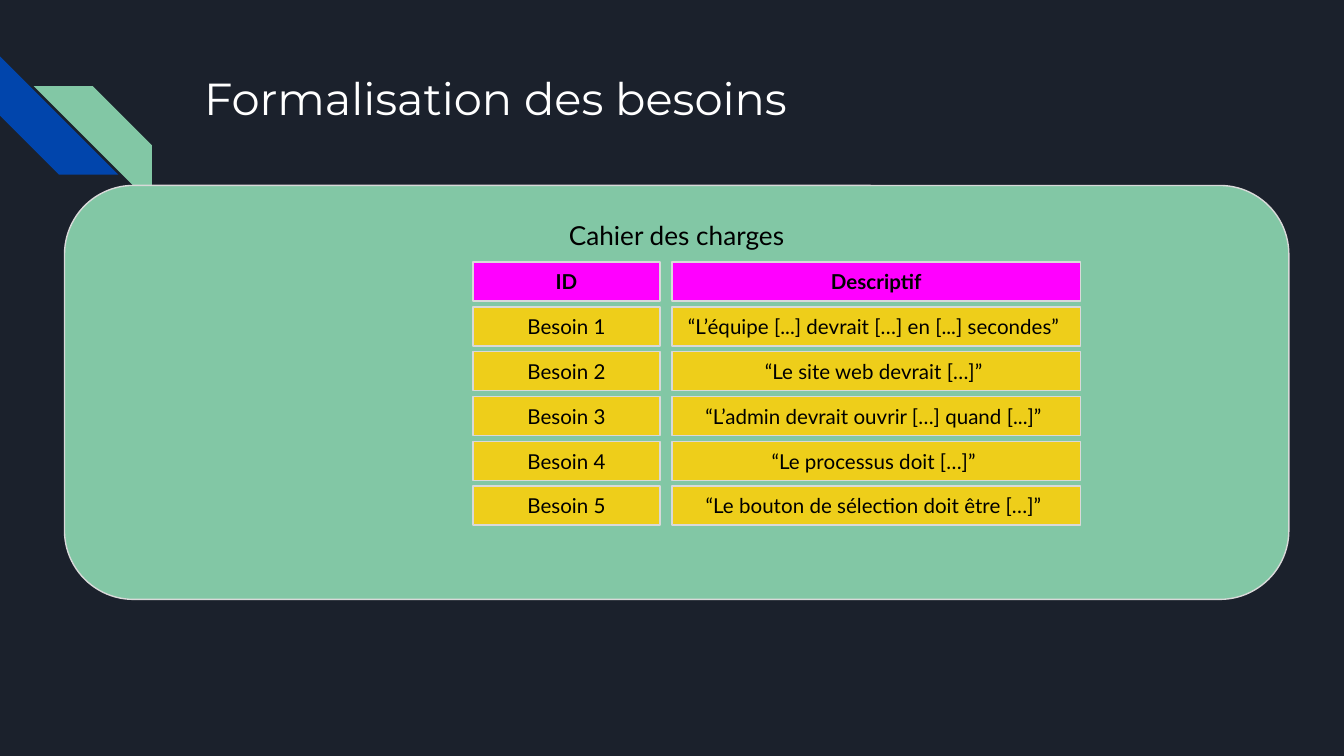
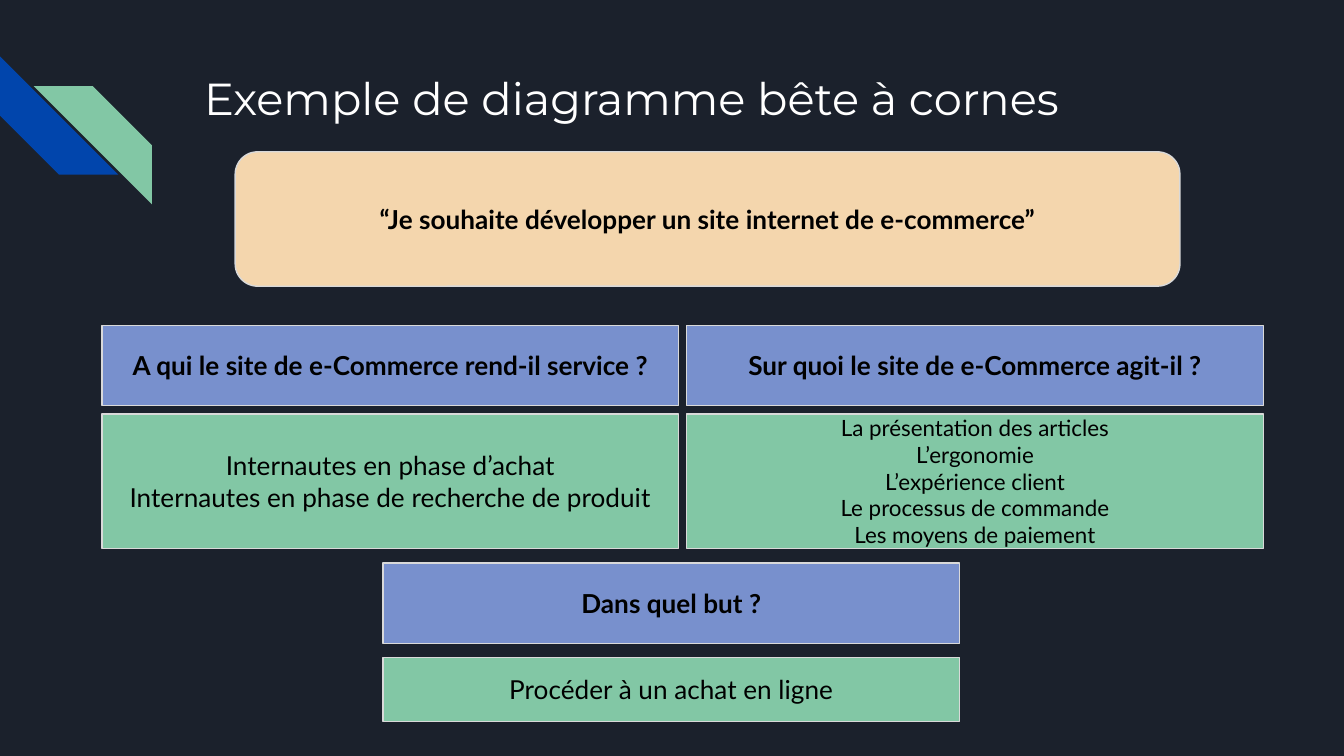
import pptx
import pptx.dml.color
import pptx.enum.shapes
import pptx.enum.text
import pptx.util

Inches = pptx.util.Inches
Pt = pptx.util.Pt
Shape = pptx.enum.shapes.MSO_SHAPE
Anchor = pptx.enum.text.MSO_ANCHOR
Align = pptx.enum.text.PP_ALIGN

COLORS = {
    "night": "1B212C",
    "blue": "0145AC",
    "green": "82C7A5",
    "border": "D9D9D9",
    "white": "FFFFFF",
    "black": "000000",
    "yellow": "EECE1A",
    "magenta": "FF00FF",
    "sand": "F4D6AD",
    "periwinkle": "7890CD",
}
TITLE_FONT = "Montserrat"
BODY_FONT = "Lato"

NEEDS_TITLE = "Formalisation des besoins"
NEEDS_HEADING = "Cahier des charges"
NEEDS = [
    ("ID", "Descriptif"),
    ("Besoin 1", "“L’équipe [...] devrait […] en [...] secondes” "),
    ("Besoin 2", "“Le site web devrait […]” "),
    ("Besoin 3", "“L’admin devrait ouvrir […] quand [...]” "),
    ("Besoin 4", "“Le processus doit […]” "),
    ("Besoin 5", "“Le bouton de sélection doit être […]” "),
]
NEEDS_COLUMNS = [(3.52, 1.39), (5, 3.04)]
NEEDS_TOP, NEEDS_PITCH, NEEDS_HEIGHT = 1.95, 1 / 3, 0.29

HORNS_TITLE = "Exemple de diagramme bête à cornes"
HORNS_WISH = "“Je souhaite développer un site internet de e-commerce”"
HORNS_WIDTH, QUESTION_HEIGHT = 4.29, 0.6
HORNS = [
    {
        "left": 0.76, "top": 2.42, "gap": 0.06, "height": 1, "size": 14,
        "question": "A qui le site de e-Commerce rend-il service ?",
        "answers": [
            "Internautes en phase d’achat",
            "Internautes en phase de recherche de produit",
        ],
    },
    {
        "left": 5.11, "top": 2.42, "gap": 0.06, "height": 1, "size": 12,
        "question": "Sur quoi le site de e-Commerce agit-il ?",
        "answers": [
            "La présentation des articles",
            "L’ergonomie",
            "L’expérience client",
            "Le processus de commande",
            "Les moyens de paiement",
        ],
    },
    {
        "left": 2.85, "top": 4.19, "gap": 0.1, "height": 0.48, "size": 14,
        "question": "Dans quel but ?",
        "answers": ["Procéder à un achat en ligne"],
    },
]


def rgb(name):
    return pptx.dml.color.RGBColor.from_string(COLORS[name])


def write(box, lines, size, font=BODY_FONT, color="black", bold=False,
          align=Align.CENTER, anchor=Anchor.MIDDLE):
    frame = box.text_frame
    frame.word_wrap = True
    frame.vertical_anchor = anchor
    frame.margin_left = frame.margin_right = Inches(0.1)
    frame.margin_top = frame.margin_bottom = Inches(0.1)
    for index, line in enumerate(lines):
        para = frame.add_paragraph() if index else frame.paragraphs[0]
        para.alignment = align
        span = para.add_run()
        span.text = line
        span.font.name = font
        span.font.size = Pt(size)
        span.font.bold = bold
        span.font.color.rgb = rgb(color)


def add_filled(page, kind, place, fill):
    shape = page.shapes.add_shape(kind, *map(Inches, place))
    shape.shadow.inherit = False
    shape.fill.solid()
    shape.fill.fore_color.rgb = rgb(fill)
    return shape


def add_stripe(page, place, fill, rotation):
    stripe = add_filled(page, Shape.DIAGONAL_STRIPE, place, fill)
    stripe.line.fill.background()
    stripe.rotation = rotation


def add_card(page, place, fill, lines, size, kind=Shape.RECTANGLE, **style):
    card = add_filled(page, kind, place, fill)
    card.line.color.rgb = rgb("border")
    card.line.width = Pt(0.75)
    write(card, lines, size, **style)


def add_page(deck, title):
    page = deck.slides.add_slide(deck.slide_layouts[6])
    page.background.fill.solid()
    page.background.fill.fore_color.rgb = rgb("night")
    add_stripe(page, (0, 0.42, 0.88, 0.88), "blue", 270)
    add_stripe(page, (0.25, 0.64, 0.88, 0.88), "green", 90)
    box = page.shapes.add_textbox(*map(Inches, (1.42, 0.43, 7.7, 1)))
    write(box, [title], 24, font=TITLE_FONT, color="white",
          align=Align.LEFT, anchor=Anchor.TOP)
    return page


def add_needs(deck):
    page = add_page(deck, NEEDS_TITLE)
    add_card(page, (0.48, 1.38, 9.11, 3.08), "green", [NEEDS_HEADING], 14,
             kind=Shape.ROUNDED_RECTANGLE, anchor=Anchor.TOP)
    for row, texts in enumerate(NEEDS):
        header = row == 0
        top = NEEDS_TOP + row * NEEDS_PITCH
        for (left, width), text in zip(NEEDS_COLUMNS, texts):
            add_card(page, (left, top, width, NEEDS_HEIGHT),
                     "magenta" if header else "yellow", [text], 11, bold=header)


def add_horns(deck):
    page = add_page(deck, HORNS_TITLE)
    add_card(page, (1.75, 1.13, 7.03, 1), "sand", [HORNS_WISH], 14,
             kind=Shape.ROUNDED_RECTANGLE, bold=True)
    for horn in HORNS:
        left, top = horn["left"], horn["top"]
        add_card(page, (left, top, HORNS_WIDTH, QUESTION_HEIGHT),
                 "periwinkle", [horn["question"]], 14, bold=True)
        answer_top = top + QUESTION_HEIGHT + horn["gap"]
        add_card(page, (left, answer_top, HORNS_WIDTH, horn["height"]),
                 "green", horn["answers"], horn["size"])


def main():
    deck = pptx.Presentation()
    deck.slide_width = Inches(10)
    deck.slide_height = Inches(10 * 9 / 16)
    add_needs(deck)
    add_horns(deck)
    deck.save("out.pptx")


if __name__ == "__main__":
    main()
